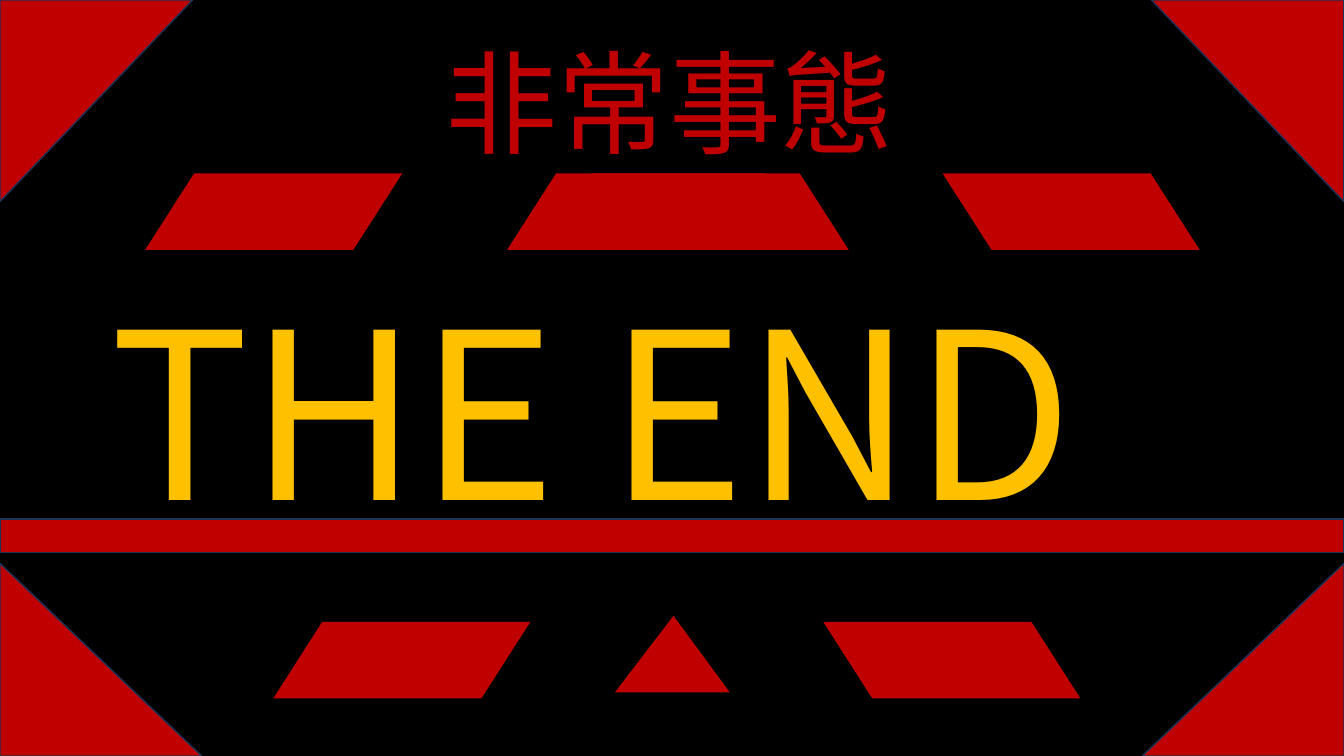
from pptx import Presentation
from pptx.dml.color import RGBColor
from pptx.enum.shapes import MSO_SHAPE as Kind
from pptx.enum.text import MSO_ANCHOR as Anchor, MSO_AUTO_SIZE as Fit, PP_ALIGN as Align
from pptx.oxml.ns import qn
from pptx.util import Inches, Pt

HUES = {"back": "000000", "red": "C00000", "gold": "FFC000", "edge": "1E3256"}
FONT = "Noto Sans CJK JP"
SLAB = (19.13, 10.13)


class Board:
    """Draws on one slide; every length is a percentage of its width or height."""

    def __init__(self, deck):
        self.deck = deck
        self.slide = deck.slides.add_slide(deck.slide_layouts[5])
        back = self.slide.background.fill
        back.solid()
        back.fore_color.rgb = self.hue("back")

    def hue(self, name):
        return RGBColor.from_string(HUES[name])

    def box(self, x, y, w, h):
        wide, high = self.deck.slide_width, self.deck.slide_height
        return [round(part * size / 100)
                for part, size in ((x, wide), (y, high), (w, wide), (h, high))]

    def shape(self, kind, x, y, w, h, flip="", adj=None, edge=False):
        """Add a red shape; flip holds H, V or both."""
        item = self.slide.shapes.add_shape(kind, *self.box(x, y, w, h))
        item.shadow.inherit = False
        item.fill.solid()
        item.fill.fore_color.rgb = self.hue("red")
        if edge:
            item.line.color.rgb = self.hue("edge")
            item.line.width = Pt(1)
        else:
            item.line.fill.background()
        if adj is not None:
            item.adjustments[0] = adj
        for axis in flip:
            item._element.spPr.find(qn("a:xfrm")).set("flip" + axis, "1")

    def pair(self, kind, x, y, w, h, mid=50, flip="", **look):
        """Add a shape and its mirror image about the upright line at mid."""
        self.shape(kind, x, y, w, h, flip, **look)
        self.shape(kind, 2 * mid - x - w, y, w, h, flip + "H", **look)

    def letter(self, item, text, size, hue):
        """Put one styled line of text into item."""
        frame = item.text_frame
        frame.word_wrap = False
        frame.auto_size = Fit.SHAPE_TO_FIT_TEXT
        frame.vertical_anchor = Anchor.TOP
        para = frame.paragraphs[0]
        para.alignment = Align.LEFT
        run = para.add_run()
        run.text = text
        font = run.font
        font.name, font.size = FONT, Pt(size)
        font.color.rgb = self.hue(hue)
        east = font._element.makeelement(qn("a:ea"), {"typeface": FONT})
        font._element.find(qn("a:latin")).addnext(east)

    def title(self, text, size, hue, *place):
        item = self.slide.shapes.title
        item.left, item.top, item.width, item.height = self.box(*place)
        self.letter(item, text, size, hue)

    def text(self, text, size, hue, *place):
        item = self.slide.shapes.add_textbox(*self.box(*place))
        self.letter(item, text, size, hue)


def main():
    deck = Presentation()
    deck.slide_width, deck.slide_height = Inches(13.33), Inches(7.5)
    board = Board(deck)

    # Corner triangles
    board.pair(Kind.RIGHT_TRIANGLE, 0, 0, 14.33, 26.67, flip="V", edge=True)
    board.pair(Kind.RIGHT_TRIANGLE, 0, 74.53, 15, 25.47, edge=True)

    board.title("非常事態", 80, "red", 32.4, 3.73, 35.18, 19.33)

    # Slanted slabs: outer and overlapping inner pairs above, one pair below
    for x, y, mid in ((10.8, 22.93, 50.03), (37.73, 22.93, 50.44), (20.33, 82.27, 50.36)):
        board.pair(Kind.PARALLELOGRAM, x, y, *SLAB, mid=mid, adj=0.64)

    board.text("THE END", 166, "gold", 7.5, 34.8, 89.78, 38.53)
    board.shape(Kind.RECTANGLE, 0, 68.67, 100, 4.4, edge=True)
    board.shape(Kind.ISOSCELES_TRIANGLE, 45.75, 81.47, 8.55, SLAB[1], adj=0.51)
    deck.save("out.pptx")


if __name__ == "__main__":
    main()
